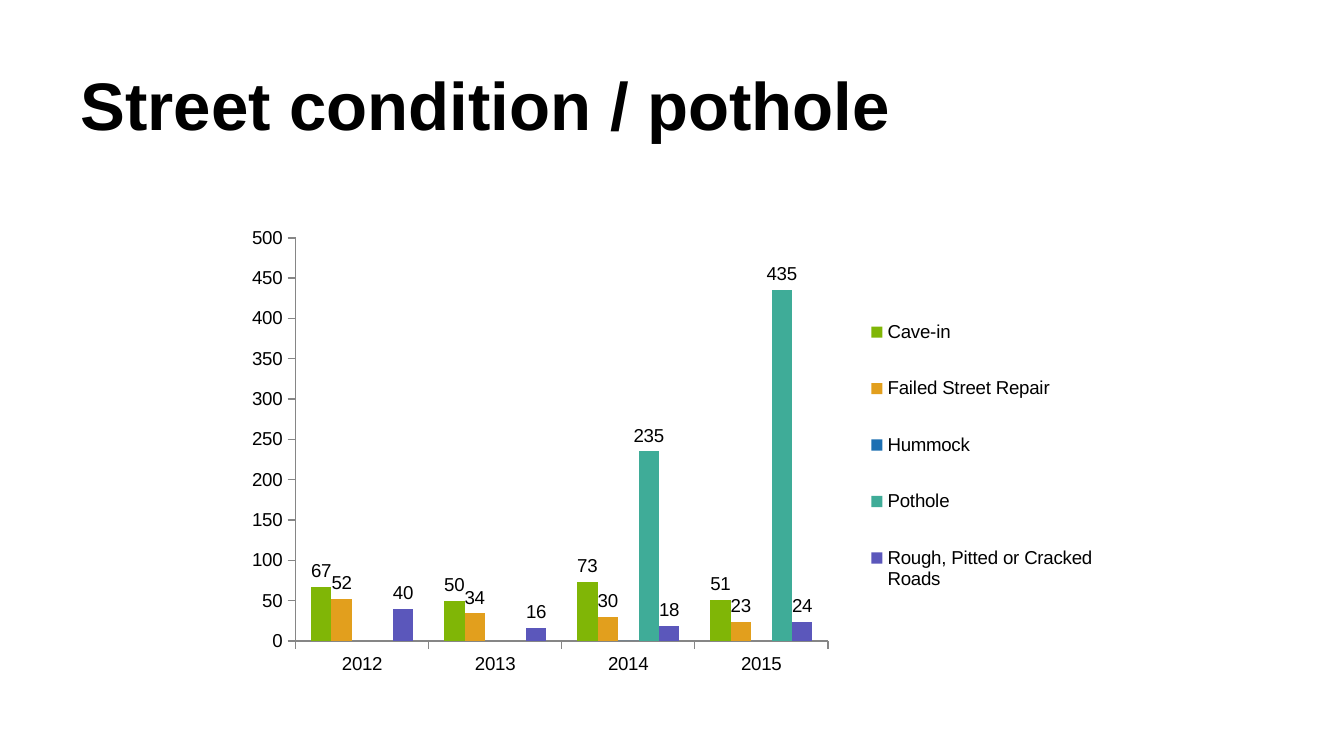
"""Build the street condition slide with its clustered column chart."""
from lxml import etree
from pptx import Presentation
from pptx.chart.data import CategoryChartData
from pptx.dml.color import RGBColor as RGB
from pptx.enum.chart import XL_CHART_TYPE as CT, XL_LABEL_POSITION as LP
from pptx.enum.chart import XL_LEGEND_POSITION as LEG, XL_TICK_MARK as TICK
from pptx.enum.text import MSO_ANCHOR as ANCHOR, PP_ALIGN as ALIGN
from pptx.oxml.ns import qn
from pptx.util import Inches, Pt

THEME = {
    "font": "Arial", "title": Pt(36), "body": Pt(10),
    "text": RGB.from_string("000000"), "axis": RGB.from_string("868686"),
}
SERIES = [
    ("Cave-in", (67, 50, 73, 51), "80B606"),
    ("Failed Street Repair", (52, 34, 30, 23), "E29F1D"),
    ("Hummock", (None, None, 0, None), "1D6FB2"),
    ("Pothole", (None, None, 235, 435), "3FAC98"),
    ("Rough, Pitted or Cracked Roads", (40, 16, 18, 24), "5B57BB"),
]
CHART_W, CHART_H = Inches(6.75), Inches(3.6)


def style_font(font, size, bold=False):
    for name, value in {"name": THEME["font"], "size": size, "bold": bold}.items():
        setattr(font, name, value)
    font.color.rgb = THEME["text"]


def place(parent, before, box, inner=False):
    for old in parent.findall(qn("c:layout")):
        parent.remove(old)
    layout = etree.Element(qn("c:layout"))
    manual = etree.SubElement(layout, qn("c:manualLayout"))
    values = {"layoutTarget": "inner"} if inner else {}
    values.update({"xMode": "edge", "yMode": "edge"})
    for tag, length, whole in zip("xywh", box, (CHART_W, CHART_H) * 2):
        values[tag] = Inches(length) / whole
    for tag, value in values.items():
        etree.SubElement(manual, qn(f"c:{tag}")).set("val", str(value))
    parent.find(qn(before)).addprevious(layout)


prs = Presentation()
prs.slide_width, prs.slide_height = Inches(10), Inches(10) * 9 // 16
s = prs.slides.add_slide(prs.slide_layouts[5])

title = s.shapes.title
title.left, title.top = Inches(0.5), Inches(0.23)
title.width, title.height = Inches(9), Inches(0.94)
tf = title.text_frame
for side in ("left", "top", "right", "bottom"):
    setattr(tf, f"margin_{side}", Inches(0.1))
tf.vertical_anchor = ANCHOR.BOTTOM
p = tf.paragraphs[0]
p.alignment = ALIGN.LEFT
r = p.add_run()
r.text = "Street condition / pothole"
style_font(r.font, THEME["title"], True)

data = CategoryChartData()
data.categories = ["2012", "2013", "2014", "2015"]
for name, values, color in SERIES:
    data.add_series(name, values)
chart = s.shapes.add_chart(CT.COLUMN_CLUSTERED, Inches(1.62), Inches(1.59),
                           CHART_W, CHART_H, data).chart
chart.has_title = False
style_font(chart.font, THEME["body"])

plot = chart.plots[0]
plot.gap_width, plot.overlap, plot.vary_by_categories = 150, 0, False
for series, (name, values, color) in zip(plot.series, SERIES):
    series.format.fill.solid()
    series.format.fill.fore_color.rgb = RGB.from_string(color)
    series.invert_if_negative = False
    if name != "Hummock":
        labels = series.data_labels
        labels.show_value, labels.position = True, LP.OUTSIDE_END
        style_font(labels.font, THEME["body"])

value_axis = chart.value_axis
for name, value in {"minimum_scale": 0, "maximum_scale": 500, "major_unit": 50}.items():
    setattr(value_axis, name, value)
for axis in (chart.category_axis, value_axis):
    axis.has_major_gridlines = False
    axis.major_tick_mark, axis.minor_tick_mark = TICK.OUTSIDE, TICK.NONE
    axis.format.line.color.rgb = THEME["axis"]
    axis.format.line.width = Pt(0.75)
    style_font(axis.tick_labels.font, THEME["body"])

chart.has_legend = True
legend = chart.legend
legend.position, legend.include_in_layout = LEG.RIGHT, False
style_font(legend.font, THEME["body"])
plot_area = chart.element.find(".//" + qn("c:plotArea"))
place(plot_area, "c:barChart", (0.58, 0.18, 3.96, 3), inner=True)
place(chart.element.find(".//" + qn("c:legend")), "c:overlay", (4.74, 0.54, 1.89, 2.52))

prs.save("out.pptx")
